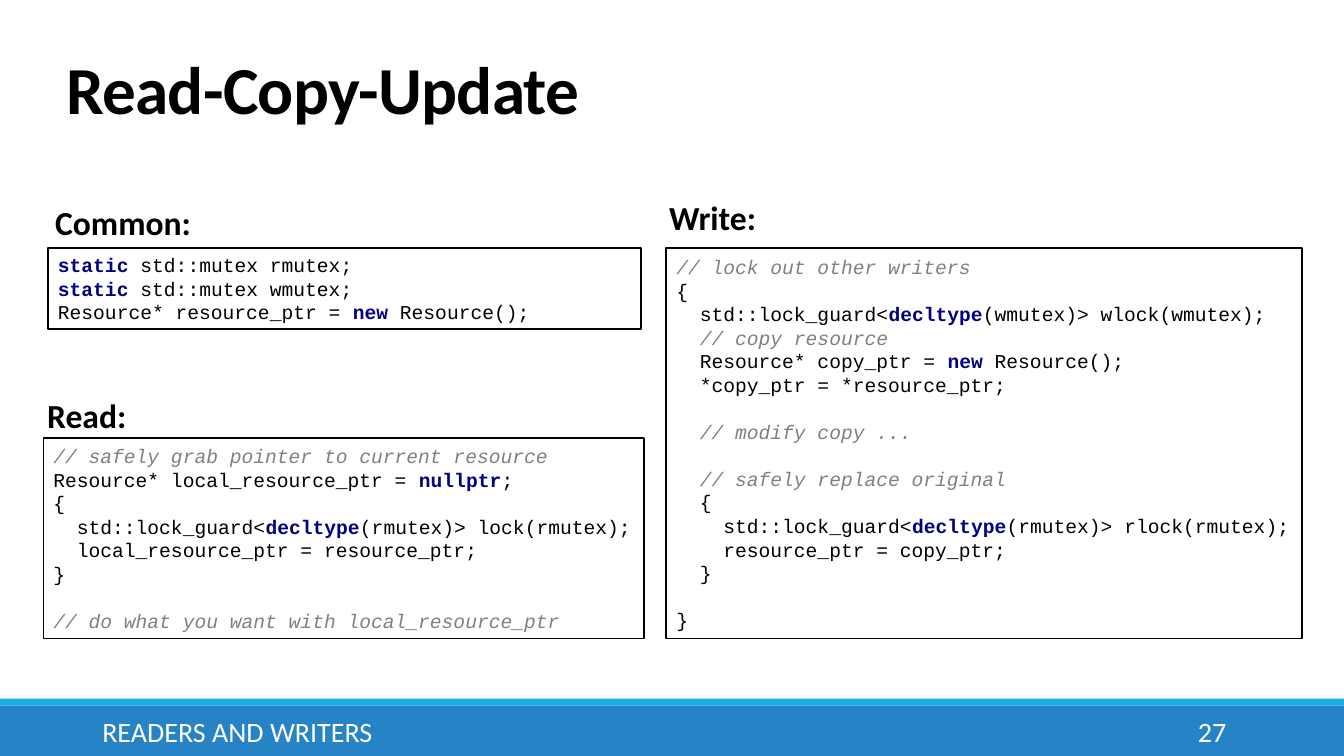
from lxml import etree
from pptx import Presentation
from pptx.dml.color import RGBColor
from pptx.enum import shapes, text
from pptx.oxml import ns
from pptx.util import Pt

COLORS = {
    "ink": "000000",
    "paper": "FFFFFF",
    "keyword": "000080",
    "comment": "808080",
    "bar": "2683C6",
    "stripe": "1CADE4",
}
KEYWORDS = ("static", "new", "nullptr", "decltype")
WIDTH, HEIGHT = 960, 540
CODE_SIZE = 14

COMMON = """static std::mutex rmutex;
static std::mutex wmutex;
Resource* resource_ptr = new Resource();"""

READ = """// safely grab pointer to current resource
Resource* local_resource_ptr = nullptr;
{
  std::lock_guard<decltype(rmutex)> lock(rmutex);
  local_resource_ptr = resource_ptr;
}

// do what you want with local_resource_ptr"""

WRITE = """// lock out other writers
{
  std::lock_guard<decltype(wmutex)> wlock(wmutex);
  // copy resource
  Resource* copy_ptr = new Resource();
  *copy_ptr = *resource_ptr;

  // modify copy ...

  // safely replace original
  {
    std::lock_guard<decltype(rmutex)> rlock(rmutex);
    resource_ptr = copy_ptr;
  }

}"""


def color(name):
    return RGBColor.from_string(COLORS[name])


def add_run(paragraph, words, size, ink="ink", face="Calibri", bold=False, italic=False):
    run = paragraph.add_run()
    run.text = words
    run.font.name, run.font.size = face, Pt(size)
    run.font.bold, run.font.italic = bold, italic
    run.font.color.rgb = color(ink)
    return run


def add_rect(slide, box, fill):
    rect = slide.shapes.add_shape(shapes.MSO_SHAPE.RECTANGLE, *map(Pt, box))
    rect.shadow.inherit = False
    rect.fill.solid()
    rect.fill.fore_color.rgb = color(fill)
    rect.line.fill.background()
    return rect


def add_label(slide, box, words, size, ink="ink", bold=False, wrap=True,
              anchor=text.MSO_ANCHOR.MIDDLE, align=text.PP_ALIGN.LEFT):
    frame = slide.shapes.add_textbox(*map(Pt, box)).text_frame
    frame.word_wrap = wrap
    frame.vertical_anchor = anchor
    paragraph = frame.paragraphs[0]
    paragraph.alignment = align
    return paragraph, add_run(paragraph, words, size, ink, bold=bold)


def split_line(line):
    """Yield (words, style) for one line of code with at most one keyword."""
    if line.lstrip().startswith("//"):
        yield line, {"ink": "comment", "italic": True}
        return
    keyword = next((word for word in KEYWORDS if word in line), None)
    if keyword is None:
        yield line, {}
        return
    before, _, after = line.partition(keyword)
    yield before, {}
    yield keyword, {"ink": "keyword", "bold": True}
    yield after, {}


def add_break(paragraph):
    paragraph.add_line_break()
    # Size the break so that empty lines keep the height of the code
    props = etree.SubElement(paragraph._p[-1], ns.qn("a:rPr"), sz=str(CODE_SIZE * 100))
    etree.SubElement(props, ns.qn("a:latin"), typeface="Courier New")


def build_title(slide, box):
    paragraph, run = add_label(slide, box, "Read-Copy-Update", 48, bold=True,
                               anchor=text.MSO_ANCHOR.BOTTOM)
    paragraph.line_spacing = 0.85
    run.font._element.set("spc", "-50")


def build_listing(slide, box, heading, heading_at, code, wrap=False):
    """Framed code in the box; its heading is offset from the box's corner."""
    left, top, width, _ = box
    frame_rect = add_rect(slide, box, "paper")
    frame_rect.line.color.rgb = color("ink")
    frame_rect.line.width = Pt(1.25)
    frame = frame_rect.text_frame
    frame.word_wrap = wrap
    frame.vertical_anchor = text.MSO_ANCHOR.MIDDLE
    paragraph = frame.paragraphs[0]
    paragraph.alignment = text.PP_ALIGN.LEFT
    for number, line in enumerate(code.split("\n")):
        if number:
            add_break(paragraph)
        for words, style in split_line(line):
            if words:
                add_run(paragraph, words, CODE_SIZE, face="Courier New", **style)

    dx, dy, heading_width = heading_at
    add_label(slide, (left + dx, top + dy, heading_width, 36), heading, 24,
              bold=True, wrap=False, anchor=text.MSO_ANCHOR.TOP)


def build_footer(slide, box):
    left, top, width, height = box
    stripe = 5
    add_rect(slide, (left, top + stripe, width, height - stripe), "bar")
    add_rect(slide, (left, top, width, stripe), "stripe")
    add_label(slide, (left + 66, top + 9.3, 604, 28.8), "READERS AND WRITERS", 20, "paper")
    add_label(slide, (left + 780, top + 9.3, 103, 28.8), "27", 20, "paper",
              align=text.PP_ALIGN.RIGHT)


def main():
    deck = Presentation()
    deck.slide_width, deck.slide_height = Pt(WIDTH), Pt(HEIGHT)
    slide = deck.slides.add_slide(deck.slide_layouts[6])

    build_footer(slide, (0, 499, WIDTH, 41))
    build_title(slide, (40.3, 33.8, 792, 61.2))

    # Left column: shared state, then the reader
    build_listing(slide, (34.3, 177.1, 423.5, 58), "Common:", (-2, -36.5, 112), COMMON, wrap=True)
    build_listing(slide, (31, 313, 429, 143), "Read:", (-4.4, -34.4, 72), READ)
    # Right column: the writer
    build_listing(slide, (476, 177.1, 454, 279), "Write:", (-5.2, -40.2, 78), WRITE)

    deck.save("out.pptx")


if __name__ == "__main__":
    main()
